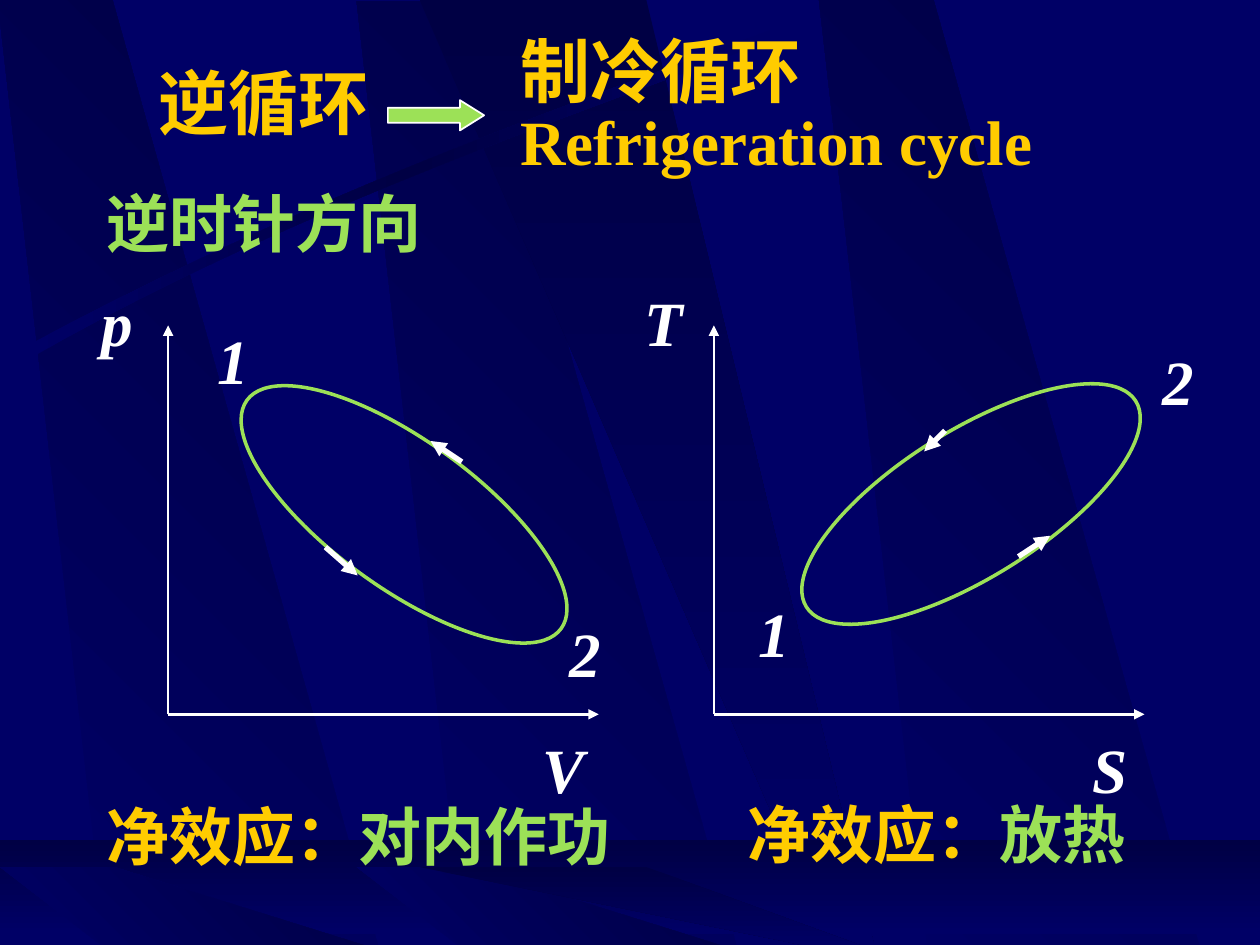
import copy

import pptx
import pptx.dml.color
import pptx.enum.dml
import pptx.enum.shapes
import pptx.enum.text
import pptx.oxml
import pptx.oxml.ns
import pptx.util
from pptx.util import Cm

COLORS = {"blue": "000066", "navy": "000044", "gold": "FFCC00",
          "green": "9CE157", "white": "FFFFFF"}
FONT = "Times New Roman"

# Background outlines: x in cm, y as a share of the band height
SLANTED = [(2.18, 1), (7.67, 1), (2.31, 0), (0, 0)]
WIDE = [(0, 0), (8.26, 1), (9.17, 1), (4.57, 0)]
# outline, left, top, height
UPPER_BANDS = [(SLANTED, 7.19, 0.03, 19.08), (SLANTED, -0.05, -0.03, 19.08),
               (SLANTED, 16.51, 0, 19.08), (WIDE, 8.46, 0, 19.08)]
LOWER_BANDS = [(SLANTED, 7.19, 17.48, 1.68), (SLANTED, 0, 17.48, 1.68),
               (WIDE, 8.46, 17.48, 1.68)]
SWOOSH_TOP = [(0.51, 6.99), (7.21, 3.4), (13.31, 1.5), (15.9, 0.46)]
SWOOSH_BOTTOM = [(15.98, 0.61), (13.41, 1.75), (6.45, 3.84), (0.58, 7.24)]

# Diagrams: axes share one size, loops share one ellipse
AXIS_WIDTH, AXIS_BOTTOM, AXIS_TOP = 8.68, 14.4, 6.56
LOOP_WIDTH, LOOP_HEIGHT = 7.83, 2.96
DIAGRAMS = [
    {"origin": 3.39, "loop": (4.23, 8.89, 36),
     "labels": [("p", 1.8, 5.59, 1.14), ("V", 10.69, 14.61, 1.35),
                ("1", 4.14, 6.35, 1.14), ("2", 11.23, 12.27, 1.14)],
     "arrows": [(9.31, 9.31, 8.68, 8.89), (6.56, 11.03, 7.21, 11.6)]},
    {"origin": 14.39, "loop": (15.66, 8.68, 148),
     "labels": [("T", 12.75, 5.59, 1.27), ("S", 21.77, 14.61, 1.22),
                ("1", 15.04, 11.86, 1.14), ("2", 23.19, 6.78, 1.14)],
     "arrows": [(19.05, 8.68, 18.63, 9.1), (20.53, 11.22, 21.17, 10.8)]},
]

# Text lines: each paragraph is a list of (text, colour, size)
TITLE = [[("逆循环", "gold", 40)]]
HEADING = [[("制冷循环", "gold", 40)], [("Refrigeration cycle", "gold", 36)]]
STATEMENTS = [
    ([("逆时针方向", "green", 36)], 1.9, 3.6, 13.55),
    ([("净效应：", "gold", 36), ("对内作功", "green", 36)], 1.9, 15.95, 11.64),
    ([("净效应：", "gold", 36), ("放热", "green", 36)], 14.82, 15.92, 9.1),
]

presentation = pptx.Presentation()
presentation.slide_width, presentation.slide_height = Cm(25.4), Cm(19.05)
slide = presentation.slides.add_slide(presentation.slide_layouts[6])
SHAPE = pptx.enum.shapes.MSO_SHAPE
ALIGN = pptx.enum.text.PP_ALIGN
ANCHOR = pptx.enum.text.MSO_ANCHOR


def rgb(name):
    return pptx.dml.color.RGBColor.from_string(COLORS[name])


def add_text(paragraphs, left, top, width, height=1.78, align=ALIGN.LEFT,
             anchor=ANCHOR.TOP, wrap=True, italic=False, last_spacing=None):
    box = slide.shapes.add_textbox(Cm(left), Cm(top), Cm(width), Cm(height))
    frame = box.text_frame
    frame.word_wrap = wrap
    frame.vertical_anchor = anchor
    frame.auto_size = pptx.enum.text.MSO_AUTO_SIZE.SHAPE_TO_FIT_TEXT
    for index, runs in enumerate(paragraphs):
        paragraph = frame.add_paragraph() if index else frame.paragraphs[0]
        paragraph.alignment = align
        for text, color, size in runs:
            run = paragraph.add_run()
            run.text = text
            run.font.name = FONT
            run.font.size = pptx.util.Pt(size)
            run.font.bold = True
            run.font.italic = italic
            run.font.color.rgb = rgb(color)
    if last_spacing:
        paragraph.line_spacing = last_spacing


def add_line(x1, y1, x2, y2, weight):
    line = slide.shapes.add_connector(
        pptx.enum.shapes.MSO_CONNECTOR.STRAIGHT, Cm(x1), Cm(y1), Cm(x2), Cm(y2))
    line.line.color.rgb = rgb("white")
    line.line.width = pptx.util.Pt(weight)
    tail = pptx.oxml.parse_xml(
        f'<a:tailEnd {pptx.oxml.ns.nsdecls("a")} type="triangle"/>')
    line.line._get_or_add_ln().append(tail)
    line._element.spPr.append(pptx.oxml.parse_xml(
        f'<a:effectLst {pptx.oxml.ns.nsdecls("a")}/>'))


def shade(shape, names, angle):
    """Gradient of evenly spaced colours; angle runs counter-clockwise."""
    shape.shadow.inherit = False
    shape.line.fill.background()
    shape.fill.gradient()
    shape.fill.gradient_angle = angle
    stop_list = shape._element.spPr.find(".//" + pptx.oxml.ns.qn("a:gsLst"))
    while len(stop_list) < len(names):
        stop_list.append(copy.deepcopy(stop_list[0]))
    for index, (stop, name) in enumerate(zip(shape.fill.gradient_stops, names)):
        stop.position = index / (len(names) - 1)
        stop.color.rgb = rgb(name)


def add_outline(points):
    points = [(Cm(x), Cm(y)) for x, y in points]
    builder = slide.shapes.build_freeform(*points[0])
    builder.add_line_segments(points[1:], close=True)
    return builder.convert_to_shape()


def add_bands(bands):
    for outline, left, top, height in bands:
        shape = add_outline([(left + x, top + y * height) for x, y in outline])
        if outline is SLANTED:
            shade(shape, ["blue", "navy"], 45)
        else:
            shade(shape, ["navy", "blue"], 270)


def curve(controls, steps=24):
    """Points along a cubic curve."""
    points = []
    for step in range(steps + 1):
        t = step / steps
        weights = ((1 - t) ** 3, 3 * t * (1 - t) ** 2, 3 * t * t * (1 - t), t ** 3)
        points.append(tuple(sum(w * c[axis] for w, c in zip(weights, controls))
                            for axis in (0, 1)))
    return points


# Background
slide.background.fill.solid()
slide.background.fill.fore_color.rgb = rgb("blue")
add_bands(UPPER_BANDS)
shade(add_outline(curve(SWOOSH_TOP) + curve(SWOOSH_BOTTOM)),
      ["blue", "navy", "blue"], 0)
floor = slide.shapes.add_shape(SHAPE.RECTANGLE, 0, Cm(16.93), Cm(25.4), Cm(1.9))
shade(floor, ["navy", "blue"], 270)
add_bands(LOWER_BANDS)

# Title and statements
add_text(TITLE, 2.34, 1.07, 5.94, 1.96, align=ALIGN.CENTER, anchor=ANCHOR.MIDDLE)
for runs, left, top, width in STATEMENTS:
    add_text([runs], left, top, width)

# Diagrams
for diagram in DIAGRAMS:
    origin = diagram["origin"]
    add_line(origin, AXIS_BOTTOM, origin + AXIS_WIDTH, AXIS_BOTTOM, 1.5)
    add_line(origin, AXIS_BOTTOM, origin, AXIS_TOP, 1.5)
    left, top, rotation = diagram["loop"]
    loop = slide.shapes.add_shape(SHAPE.OVAL, Cm(left), Cm(top),
                                  Cm(LOOP_WIDTH), Cm(LOOP_HEIGHT))
    loop.rotation = rotation
    loop.shadow.inherit = False
    loop.fill.background()
    loop.line.color.rgb = rgb("green")
    loop.line.width = pptx.util.Pt(2)
    for text, left, top, width in diagram["labels"]:
        add_text([[(text, "white", 36)]], left, top, width,
                 align=ALIGN.CENTER, wrap=False, italic=True)
    for ends in diagram["arrows"]:
        add_line(*ends, 3)

# Heading with its arrow
add_text(HEADING, 10.24, 0.43, 12.4, 3.33, last_spacing=0.9)
arrow = slide.shapes.add_shape(SHAPE.RIGHT_ARROW, Cm(7.82), Cm(2.02),
                               Cm(1.94), Cm(0.61))
arrow.adjustments[0], arrow.adjustments[1] = 0.5, 0.8
arrow.shadow.inherit = False
arrow.fill.solid()
arrow.fill.fore_color.rgb = rgb("green")
arrow.line.color.rgb = rgb("white")
arrow.line.width = pptx.util.Pt(1)

presentation.save("out.pptx")
